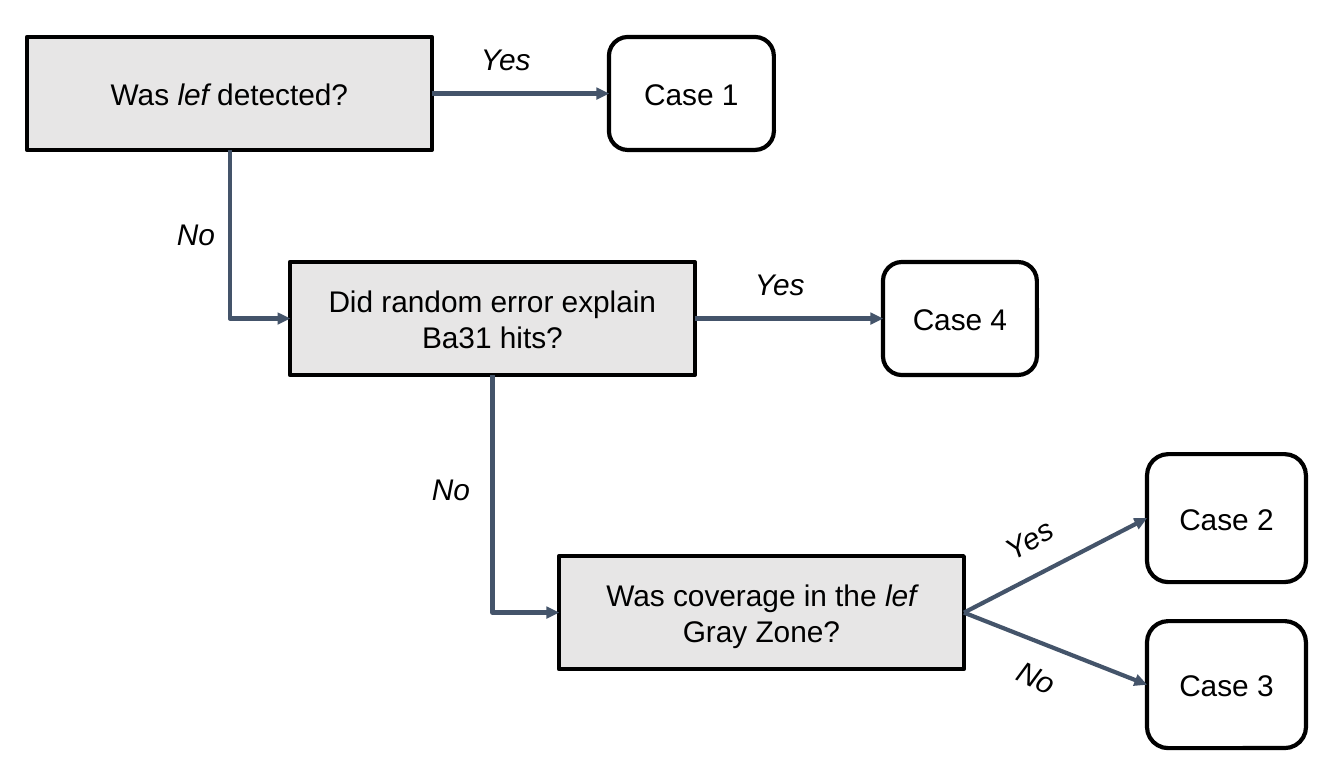
from lxml import etree
from pptx import Presentation, util as u
from pptx.dml.color import RGBColor
from pptx.enum import shapes, text
from pptx.oxml.ns import qn

SCALE = 914400 / 134.4
COLORS = {"ask": "E7E6E6", "case": "FFFFFF", "edge": "000000",
          "ink": "000000", "arrow": "44546A"}
FONT = {"name": "Arial", "size": u.Pt(16)}
INSET = 17
ASK_W, ROW_H = 405, 113


def px(n):
    """Turn picture pixels into EMU."""
    return u.Emu(round(n * SCALE))


def rgb(key):
    """Look up a named colour."""
    return RGBColor.from_string(COLORS[key])


def apply(obj, vals):
    """Set attributes from a dict."""
    for key, val in vals.items():
        setattr(obj, key, val)


def write(shape, runs, align, anchor):
    """Fill a shape with (wording, italic) runs."""
    frame = shape.text_frame
    apply(frame, {"word_wrap": True, "vertical_anchor": anchor})
    apply(frame, {f"margin_{side}": px(INSET)
                  for side in ("left", "right", "top", "bottom")})
    para = frame.paragraphs[0]
    para.alignment = align
    for words, slant in runs:
        run = para.add_run()
        run.text = words
        apply(run.font, {**FONT, "italic": slant})
        run.font.color.rgb = rgb("ink")


def stroke(line, key):
    """Give a line its colour and width."""
    line.color.rgb = rgb(key)
    line.width = u.Pt(2.25)


def box(slide, kind, place, runs, fill=None):
    """Add an outlined box with centred text."""
    shape = slide.shapes.add_shape(kind, *map(px, place))
    shape.shadow.inherit = False
    if fill:
        shape.fill.solid()
        shape.fill.fore_color.rgb = rgb(fill)
    else:
        shape.fill.background()
    stroke(shape.line, "edge")
    write(shape, runs, text.PP_ALIGN.CENTER, text.MSO_ANCHOR.MIDDLE)
    return shape


def ask(slide, x, y, runs):
    """Add a question box."""
    return box(slide, shapes.MSO_SHAPE.RECTANGLE, (x, y, ASK_W, ROW_H),
               runs, "ask")


def case(slide, place, name, fill=None):
    """Add a rounded outcome box."""
    return box(slide, shapes.MSO_SHAPE.ROUNDED_RECTANGLE, place,
               [(name, False)], fill)


def label(slide, place, words, turn=0):
    """Add an italic branch label."""
    shape = slide.shapes.add_textbox(*map(px, place))
    shape.rotation = turn
    write(shape, [(words, True)], text.PP_ALIGN.LEFT, text.MSO_ANCHOR.TOP)


def finish(link):
    """Style a connector and add its arrowhead."""
    stroke(link.line, "arrow")
    props = link._element.spPr
    tip = etree.SubElement(props.find(qn("a:ln")), qn("a:tailEnd"))
    tip.set("type", "triangle")
    etree.SubElement(props, qn("a:effectLst"))


def arrow(slide, start, end):
    """Join the right side of one box to the left of another."""
    link = slide.shapes.add_connector(shapes.MSO_CONNECTOR.STRAIGHT, 0, 0, 0, 0)
    link.begin_connect(start, 3)
    link.end_connect(end, 1)
    finish(link)


def bend(slide, start, end):
    """Run down from one box, then right into the next."""
    x1, y1 = start.left + start.width // 2, start.top + start.height
    x2, y2 = end.left, end.top + end.height // 2
    midx, midy = (x1 + x2) // 2, (y1 + y2) // 2
    dx, dy = (x2 - x1) // 2, (y2 - y1) // 2
    # The frame lies on its side and is turned by 270 degrees.
    link = slide.shapes.add_connector(shapes.MSO_CONNECTOR.ELBOW, midx + dy,
                                      midy - dx, midx - dy, midy + dx)
    props = link._element.spPr
    props.find(qn("a:prstGeom")).set("prst", "bentConnector2")
    props.find(qn("a:xfrm")).set("rot", str(270 * 60000))
    finish(link)


def main():
    """Build the decision tree."""
    deck = Presentation()
    apply(deck, {"slide_width": u.Inches(10), "slide_height": u.Inches(5.75)})
    slide = deck.slides.add_slide(deck.slide_layouts[6])

    found = ask(slide, 27, 37, [("Was ", False), ("lef", True),
                                (" detected?", False)])
    error = ask(slide, 290, 262,
                [("Did random error explain Ba31 hits?", False)])
    zone = ask(slide, 559, 556, [("Was coverage in the ", False),
                                 ("lef", True), (" Gray Zone?", False)])
    one = case(slide, (609, 37, 165, ROW_H), "Case 1")
    four = case(slide, (883, 262, 154, ROW_H), "Case 4", "case")
    two = case(slide, (1147, 454, 159, 128), "Case 2")
    three = case(slide, (1147, 621, 159, 127), "Case 3")

    for start, end in ((found, one), (error, four), (zone, two), (zone, three)):
        arrow(slide, start, end)
    for start, end in ((found, error), (error, zone)):
        bend(slide, start, end)

    for place, words, turn in (
            ((464, 24, 113, 86), "Yes", 0),
            ((738, 249, 97, 86), "Yes", 0),
            ((989, 496, 109, 86), "Yes", 330),
            ((160, 199, 91, 73), "No", 0),
            ((415, 454, 91, 73), "No", 0),
            ((999, 646, 91, 73), "No", 25.4)):
        label(slide, place, words, turn)
    deck.save("out.pptx")


main()
